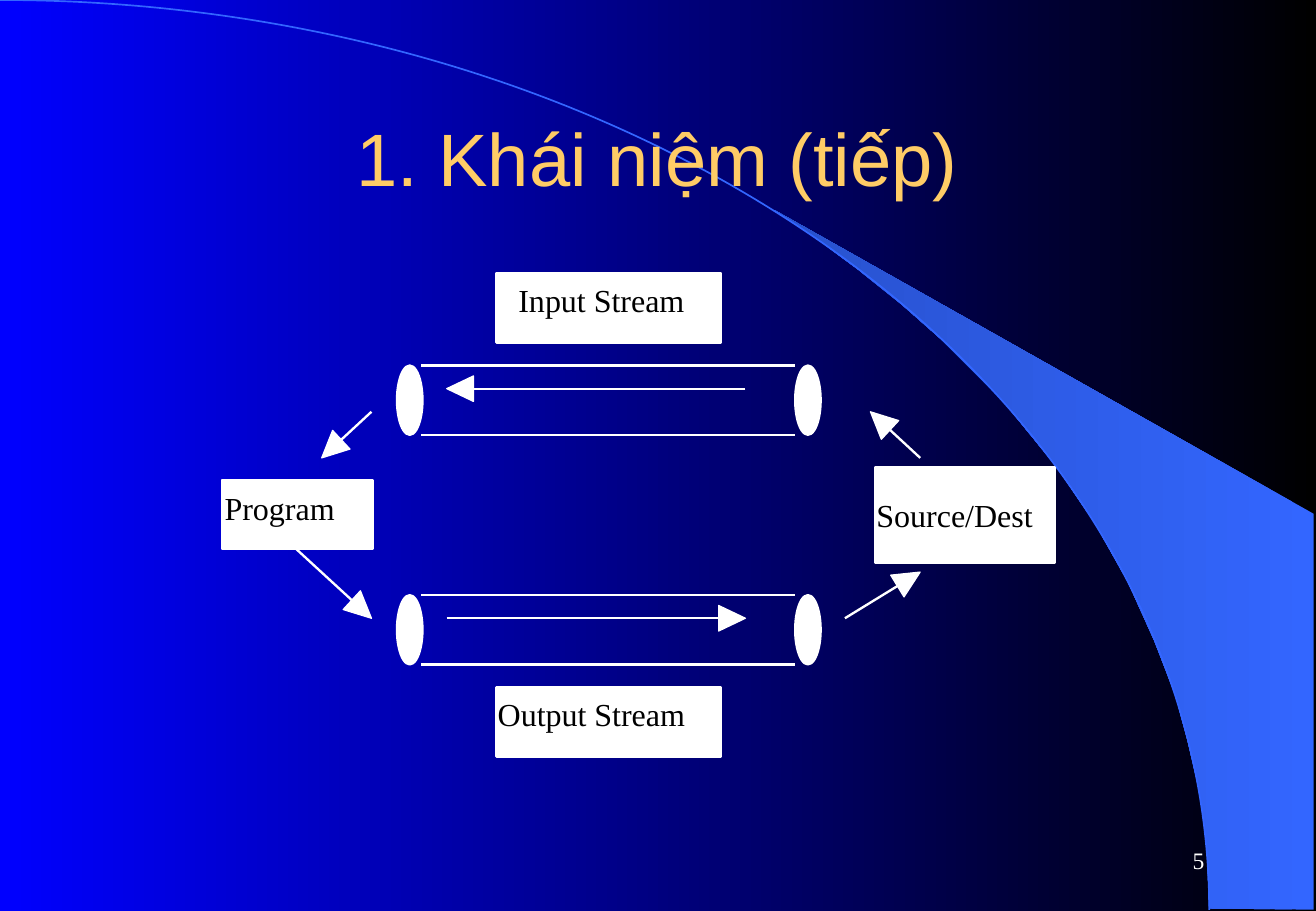
"""Build the slide that shows the input and output streams of a program."""
from math import hypot

from lxml import etree
from pptx import Presentation
from pptx.dml.color import RGBColor
from pptx.enum.shapes import MSO_CONNECTOR, MSO_SHAPE
from pptx.enum.text import MSO_ANCHOR, PP_ALIGN
from pptx.oxml.ns import qn
from pptx.util import Pt

PX = 9144
PAGE_WIDTH, PAGE_HEIGHT = 1084, 750

WHITE = RGBColor(0xFF, 0xFF, 0xFF)
BLACK = RGBColor(0x00, 0x00, 0x00)
BLUE = RGBColor(0x00, 0x00, 0xFF)
SKY = RGBColor(0x33, 0x66, 0xFF)
SKY_DARK = RGBColor(0x28, 0x51, 0xCC)
GOLD = RGBColor(0xFF, 0xCC, 0x66)

SANS, SERIF = "Arial", "Times New Roman"
STRAIGHT = MSO_CONNECTOR.STRAIGHT
ARC, OVAL, RECTANGLE = MSO_SHAPE.ARC, MSO_SHAPE.OVAL, MSO_SHAPE.RECTANGLE
TOP, MIDDLE = MSO_ANCHOR.TOP, MSO_ANCHOR.MIDDLE
LEFT, CENTER, RIGHT = PP_ALIGN.LEFT, PP_ALIGN.CENTER, PP_ALIGN.RIGHT

WEDGE = [
    (996, 748), (1082, 749), (1082, 423), (638, 173), (676, 199), (707, 222),
    (742, 250), (776, 280), (826, 330), (870, 384), (902, 431), (929, 479),
    (951, 528), (968, 572), (978, 609), (989, 656), (994, 696),
]
LABELS = [
    ("Input Stream", (409, 225, 185, 57), (18, 6)),
    ("Program", (183, 395, 124, 57), (2, 7)),
    ("Source/Dest", (721, 385, 148, 78), (1, 23)),
    ("Output Stream", (409, 566, 185, 57), (1, 6)),
]
TUBE_TOPS = (301, 490)
ARROWS = [
    ((614, 320), (368, 320)),
    ((368, 509), (614, 509)),
    ((306, 339), (265, 377)),
    ((244, 452), (306, 509)),
    ((696, 509), (758, 471)),
    ((758, 377), (717, 339)),
]


class StreamSlide:
    """Draw styled elements on one page, with lengths in px."""

    line_width = Pt(1.39)
    edge_width = Pt(0.75)
    head_length = 22
    head_half_width = 10.5

    def __init__(self, deck):
        """Add a title-only page to the deck."""
        self.page = deck.slides.add_slide(deck.slide_layouts[5])

    def gradient(self, fill, right, left):
        """Blend two colours from the right edge to the left edge."""
        fill.gradient()
        fill.gradient_angle = 180
        for stop, color in zip(fill.gradient_stops, (right, left)):
            stop.color.rgb = color

    def outline(self, shape, color, width):
        """Give a shape or connector a plain line."""
        shape.line.color.rgb = color
        shape.line.width = width

    def set_text(self, frame, text, size, font, color, align, anchor):
        """Set the single run of a text frame."""
        frame.word_wrap = True
        frame.vertical_anchor = anchor
        para = frame.paragraphs[0]
        para.alignment = align
        span = para.add_run()
        span.text = text
        span.font.size = Pt(size)
        span.font.name = font
        span.font.color.rgb = color

    def title(self, text, left, top, width, height):
        """Place the title in front of the decoration."""
        title = self.page.shapes.title
        title.left, title.top = left * PX, top * PX
        title.width, title.height = width * PX, height * PX
        self.set_text(title.text_frame, text, 44, SANS, GOLD, CENTER, MIDDLE)
        title.element.getparent().append(title.element)

    def shape(self, kind, left, top, width, height):
        """Add a white preset shape."""
        shape = self.page.shapes.add_shape(
            kind, left * PX, top * PX, width * PX, height * PX)
        shape.shadow.inherit = False
        shape.fill.solid()
        shape.fill.fore_color.rgb = WHITE
        self.outline(shape, WHITE, self.line_width)
        return shape

    def sweep(self, width, height):
        """Add the quarter curve that runs from the top left corner."""
        curve = self.shape(ARC, -width, 0, 2 * width, 2 * height)
        curve.fill.background()
        self.outline(curve, SKY, Pt(1))

    def polygon(self, points):
        """Add a closed outline."""
        corners = [(round(x * PX), round(y * PX)) for x, y in points]
        builder = self.page.shapes.build_freeform(*corners[0])
        builder.add_line_segments(corners[1:], close=True)
        polygon = builder.convert_to_shape()
        polygon.shadow.inherit = False
        return polygon

    def wedge(self, points):
        """Add the blue wedge on the right."""
        wedge = self.polygon(points)
        self.gradient(wedge.fill, SKY, SKY_DARK)
        wedge.line.fill.background()

    def line(self, start, end):
        """Add a straight white line."""
        ends = [round(value * PX) for value in (*start, *end)]
        line = self.page.shapes.add_connector(STRAIGHT, *ends)
        self.outline(line, WHITE, self.line_width)
        etree.SubElement(line.element.spPr, qn("a:effectLst"))

    def arrow(self, tail, tip):
        """Add a line that ends in a large solid head."""
        run, rise = tip[0] - tail[0], tip[1] - tail[1]
        length = hypot(run, rise)
        run, rise = run / length, rise / length
        neck = (tip[0] - run * self.head_length, tip[1] - rise * self.head_length)
        side_x, side_y = -rise * self.head_half_width, run * self.head_half_width
        self.line(tail, neck)
        head = self.polygon([
            (neck[0] + side_x, neck[1] + side_y), tip,
            (neck[0] - side_x, neck[1] - side_y)])
        head.fill.solid()
        head.fill.fore_color.rgb = WHITE
        self.outline(head, WHITE, self.edge_width)

    def tube(self, top):
        """Add a pipe with an oval at each end."""
        for left in (327, 655):
            self.shape(OVAL, left, top, 21, 57)
        for y in (top, top + 57):
            self.line((347, y), (655, y))

    def label(self, text, area, inset):
        """Add a white box with black text."""
        frame = self.shape(RECTANGLE, *area).text_frame
        frame.margin_left, frame.margin_top = (value * PX for value in inset)
        frame.margin_right = frame.margin_bottom = 0
        self.set_text(frame, text, 19, SERIF, BLACK, LEFT, TOP)

    def page_number(self, text, left, top, width, height):
        """Add the page number at the lower right."""
        box = self.page.shapes.add_textbox(
            left * PX, top * PX, width * PX, height * PX)
        self.set_text(box.text_frame, text, 14, SERIF, WHITE, RIGHT, MIDDLE)


def main():
    """Build and save the deck."""
    deck = Presentation()
    deck.slide_width, deck.slide_height = PAGE_WIDTH * PX, PAGE_HEIGHT * PX
    slide = StreamSlide(deck)
    slide.gradient(slide.page.background.fill, BLACK, BLUE)
    slide.wedge(WEDGE)
    slide.sweep(996, 749)
    slide.title("1. Khái niệm (tiếp)", 81, 67, 921, 125)
    for top in TUBE_TOPS:
        slide.tube(top)
    for text, area, inset in LABELS:
        slide.label(text, area, inset)
    for tail, tip in ARROWS:
        slide.arrow(tail, tip)
    slide.page_number("5", 776, 683, 226, 50)
    deck.save("out.pptx")


if __name__ == "__main__":
    main()
